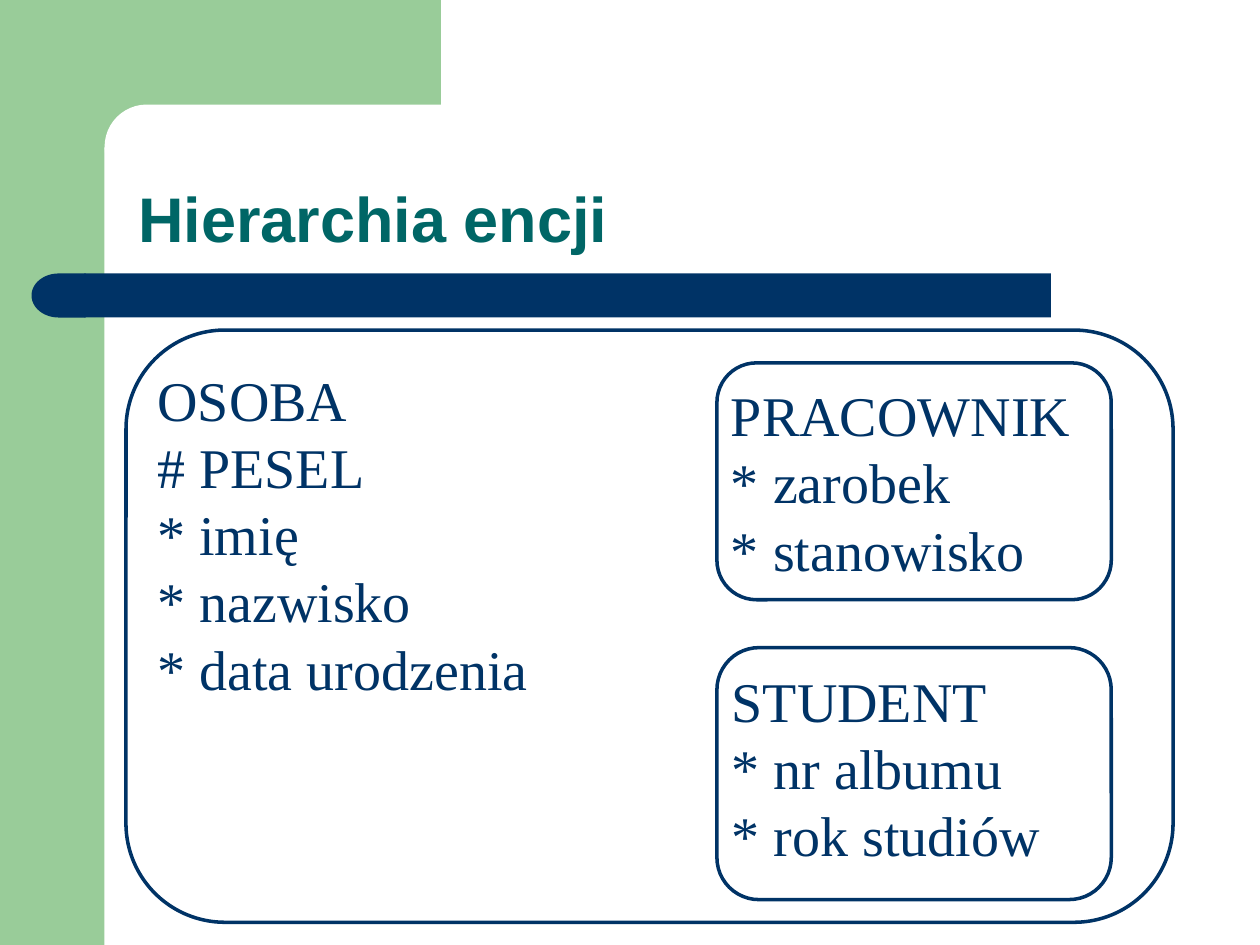
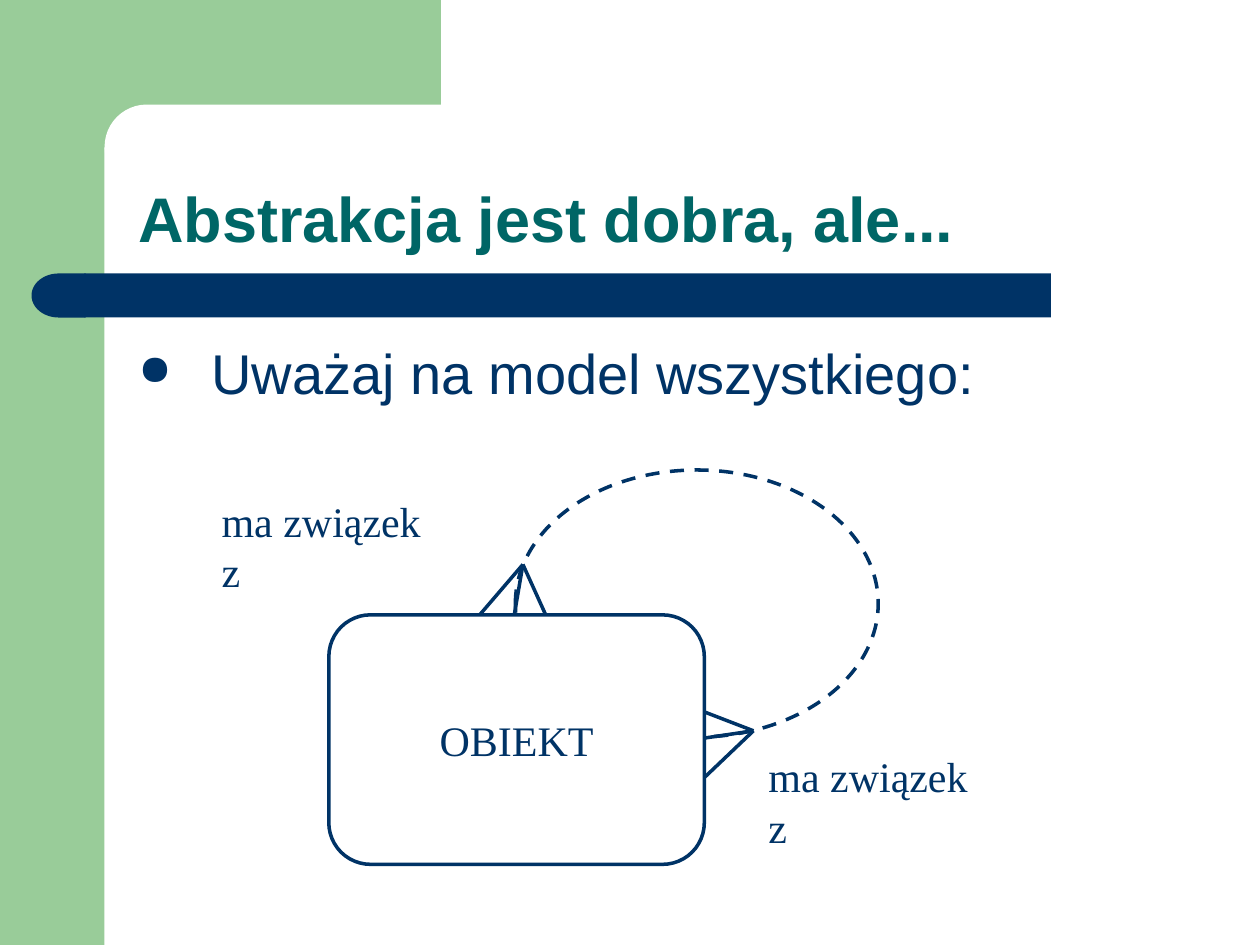
from dataclasses import dataclass

from lxml import etree
from pptx import Presentation
from pptx import util as u
from pptx.dml.color import RGBColor
from pptx.enum import dml, shapes, text
from pptx.oxml.ns import qn

EMU_PER_PX = 9144


@dataclass(frozen=True)
class Theme:
    green: str = "99CC99"
    navy: str = "003366"
    teal: str = "006666"
    white: str = "FFFFFF"
    sans: str = "Arial"
    serif: str = "Times New Roman"
    title_pt: int = 36
    body_pt: int = 32
    label_pt: int = 24
    line_pt: int = 2
    corner: float = 0.167


@dataclass(frozen=True)
class Box:
    x: int
    y: int
    w: int
    h: int


@dataclass(frozen=True)
class Band:
    kind: shapes.MSO_SHAPE
    box: Box
    color: str
    corner: float | None = None
    rotation: int = 0


@dataclass(frozen=True)
class Entity:
    box: Box
    lines: tuple[str, ...]


@dataclass(frozen=True)
class CrowFoot:
    tip: tuple[int, int]
    toes: tuple[tuple[int, int], ...]


T = Theme()
KIND = shapes.MSO_SHAPE

BANDS = (
    Band(KIND.RECTANGLE, Box(0, 0, 83, 750), T.green),
    Band(KIND.RECTANGLE, Box(75, 0, 275, 117), T.green),
    Band(KIND.ROUNDED_RECTANGLE, Box(83, 83, 558, 67), T.white, corner=0.5),
    Band(KIND.RECTANGLE, Box(67, 217, 767, 35), T.navy),
    Band(KIND.FLOWCHART_DELAY, Box(25, 217, 43, 35), T.navy, rotation=180),
)

ENTITIES = (
    Entity(Box(100, 262, 831, 470),
           ("OSOBA", "# PESEL", "* imię", "* nazwisko", "* data urodzenia")),
    Entity(Box(569, 288, 313, 188), ("PRACOWNIK", "* zarobek", "* stanowisko")),
    Entity(Box(569, 514, 313, 200), ("STUDENT", "* nr albumu", "* rok studiów")),
)

CROW_FEET = (
    CrowFoot((598, 580), ((551, 587), (556, 620), (546, 560))),
    CrowFoot((415, 448), ((407, 495), (439, 501), (379, 490))),
)

RELATION_LABELS = (Box(166, 388, 201, 50), Box(600, 591, 201, 50))


def px(n: int) -> u.Emu:
    return u.Emu(n * EMU_PER_PX)


def rgb(color: str) -> RGBColor:
    return RGBColor.from_string(color)


def frame(box: Box) -> tuple[u.Emu, ...]:
    return px(box.x), px(box.y), px(box.w), px(box.h)


def add_shape(s, kind, box: Box, fill: str | None = None,
              line: str | None = None, corner: float | None = None):
    sp = s.shapes.add_shape(kind, *frame(box))
    sp.shadow.inherit = False
    if fill:
        sp.fill.solid()
        sp.fill.fore_color.rgb = rgb(fill)
    else:
        sp.fill.background()
    if line:
        sp.line.color.rgb = rgb(line)
        sp.line.width = u.Pt(T.line_pt)
    else:
        sp.line.fill.background()
    if corner is not None:
        sp.adjustments[0] = corner
    return sp


def write(sp, content: str, font: str, size: int, color: str = T.navy,
          bold: bool = False, align=text.PP_ALIGN.LEFT,
          anchor=text.MSO_ANCHOR.TOP, wrap: bool = True):
    tf = sp.text_frame
    tf.text = content
    tf.word_wrap = wrap
    tf.vertical_anchor = anchor
    for p in tf.paragraphs:
        p.alignment = align
        for r in p.runs:
            r.font.name = font
            r.font.size = u.Pt(size)
            r.font.bold = bold
            r.font.color.rgb = rgb(color)
    return tf


def add_entity(s, entity: Entity) -> None:
    sp = add_shape(s, KIND.ROUNDED_RECTANGLE, entity.box, T.white, T.navy, T.corner)
    tf = write(sp, "\n".join(entity.lines), T.serif, T.body_pt)
    tf.margin_left = px(2)


def add_crow_foot(s, foot: CrowFoot) -> None:
    for toe in foot.toes:
        cx = s.shapes.add_connector(shapes.MSO_CONNECTOR.STRAIGHT,
                                    *map(px, toe), *map(px, foot.tip))
        cx.line.color.rgb = rgb(T.navy)
        cx.line.width = u.Pt(T.line_pt)
        etree.SubElement(cx._element.spPr, qn("a:effectLst"))


def add_bullet(p, indent: int) -> None:
    pPr = p._p.get_or_add_pPr()
    pPr.set("marL", str(px(indent)))
    pPr.set("indent", str(px(-indent)))
    color = etree.SubElement(pPr, qn("a:buClr"))
    etree.SubElement(color, qn("a:srgbClr"), val=T.navy)
    etree.SubElement(pPr, qn("a:buSzPct"), val="75000")
    etree.SubElement(pPr, qn("a:buChar"), char="●")


def add_slide(prs, title: str):
    s = prs.slides.add_slide(prs.slide_layouts[6])
    for band in BANDS:
        sp = add_shape(s, band.kind, band.box, band.color, corner=band.corner)
        sp.rotation = band.rotation
    sp = s.shapes.add_textbox(*frame(Box(100, 83, 875, 125)))
    tf = write(sp, title, T.sans, T.title_pt, T.teal, bold=True,
               anchor=text.MSO_ANCHOR.BOTTOM)
    tf.paragraphs[0].line_spacing = 0.9
    return s


def build_hierarchy(prs) -> None:
    s = add_slide(prs, "Hierarchia encji")
    for entity in ENTITIES:
        add_entity(s, entity)


def build_abstraction(prs) -> None:
    s = add_slide(prs, "Abstrakcja jest dobra, ale...")
    sp = s.shapes.add_textbox(*frame(Box(100, 264, 875, 79)))
    tf = write(sp, "Uważaj na model wszystkiego:", T.sans, T.body_pt)
    add_bullet(tf.paragraphs[0], 58)

    loop = add_shape(s, KIND.OVAL, Box(409, 373, 288, 212), line=T.navy)
    loop.line.dash_style = dml.MSO_LINE.DASH
    for foot in CROW_FEET:
        add_crow_foot(s, foot)
    sp = add_shape(s, KIND.ROUNDED_RECTANGLE, Box(261, 488, 298, 198),
                   T.white, T.navy, T.corner)
    write(sp, "OBIEKT", T.serif, T.label_pt, align=text.PP_ALIGN.CENTER,
          anchor=text.MSO_ANCHOR.MIDDLE)
    for box in RELATION_LABELS:
        sp = s.shapes.add_textbox(*frame(box))
        write(sp, "ma związek z", T.serif, T.label_pt, wrap=False)


def main() -> None:
    prs = Presentation()
    prs.slide_width, prs.slide_height = px(1000), px(750)
    build_hierarchy(prs)
    build_abstraction(prs)
    prs.save("out.pptx")


if __name__ == "__main__":
    main()
